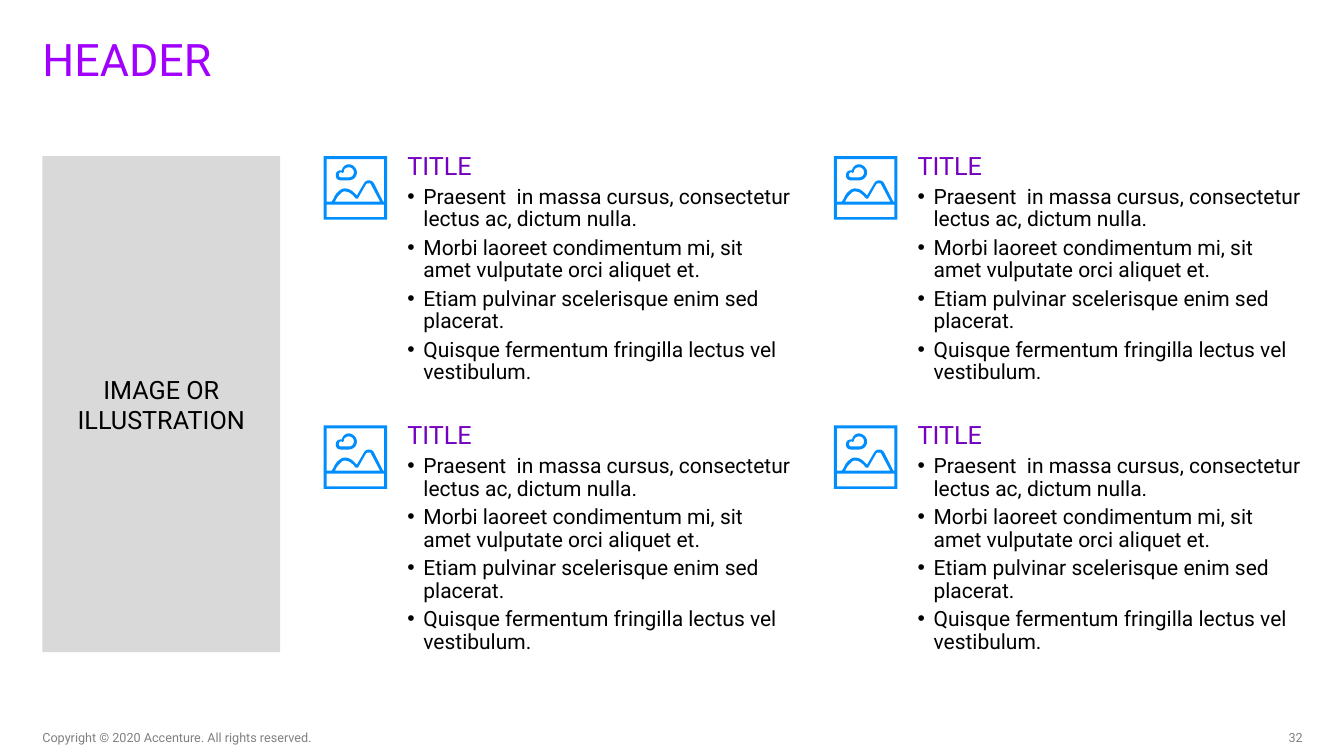
from dataclasses import dataclass
from itertools import product

from lxml import etree
from pptx import Presentation
from pptx import util as u
from pptx.dml import color
from pptx.enum import shapes, text
from pptx.oxml import ns

FONT = "Roboto"
BLACK, GREY, PURPLE, VIOLET = "000000", "808080", "A100FF", "7500C0"
BLUE, PALE_GREY = "008EFF", "D9D9D9"
COMPARISON_LAYOUT = 3 + 1
CURVE_STEPS = 6
HANGING_INDENT = u.Inches(0.16)

POINTS = (
    "Praesent  in massa cursus, consectetur lectus ac, dictum nulla.",
    "Morbi laoreet condimentum mi, sit amet vulputate orci aliquet et.",
    "Etiam pulvinar scelerisque enim sed placerat.",
    "Quisque fermentum fringilla lectus vel vestibulum.",
)

Contour = list[tuple[float, ...]]

FRAME: list[Contour] = [
    [(0, 0), (63, 0), (63, 63), (0, 63)],
    [(60, 3), (60, 45), (59, 45), (50, 27), (49, 25, 47, 24, 45, 24),
     (43, 24, 41, 25, 40, 27), (33, 39), (32, 38, 31, 37, 30, 36),
     (28, 34, 25, 32, 21, 32), (19, 32, 17, 33, 16, 34),
     (13, 36, 11, 39, 10, 42), (9, 43, 9, 44, 8, 45), (3, 45), (3, 3)],
    [(32, 42), (34, 42), (42, 28), (42, 27, 44, 27, 45, 27),
     (46, 27, 47, 27, 47, 28), (56, 45), (11, 45), (12, 44, 13, 41, 15, 39),
     (16, 38, 17, 37, 18, 36), (19, 35, 20, 35, 21, 35),
     (24, 35, 26, 36, 28, 38), (30, 39, 30, 40, 31, 41)],
    [(3, 48), (60, 48), (60, 60.5), (3, 60.5)],
]
CLOUD: list[Contour] = [
    [(17, 24), (25, 24), (29, 24, 33, 21, 33, 16), (33, 12, 29, 8, 25, 8),
     (22, 8, 19, 10, 18, 14), (17, 14), (14, 14, 12, 16, 12, 19),
     (12, 22, 14, 24, 17, 24)],
    [(17, 16), (18, 16), (19, 17, 19, 17, 19, 16), (20, 16, 20, 16, 20, 15),
     (20, 13, 22, 11, 25, 11), (28, 11, 30, 13, 30, 16),
     (30, 19, 28, 21, 25, 21), (17, 21), (16, 21, 15, 20, 15, 19),
     (15, 17, 16, 16, 17, 16)],
]


@dataclass(frozen=True)
class Box:
    left: float
    top: float
    width: float
    height: float

    def emu(self) -> tuple[int, ...]:
        return tuple(u.Inches(n) for n in (self.left, self.top, self.width, self.height))


@dataclass(frozen=True)
class Topic:
    placeholder: int
    left: float
    top: float

    def text_box(self) -> Box:
        return Box(self.left + 0.83, self.top, 3.82, 2.3)


@dataclass(frozen=True)
class FooterNote:
    wording: str
    box: Box
    align: text.PP_ALIGN


TOPICS = [
    Topic(number, left, top)
    for number, (top, left) in enumerate(product((1.55, 4.22), (3.21, 8.27)), start=1)
]
FOOTER = [
    FooterNote("Copyright © 2020 Accenture. All rights reserved.",
               Box(0.42, 7.24, 2.98, 0.15), text.PP_ALIGN.LEFT),
    FooterNote("32", Box(12.24, 7.24, 0.68, 0.15), text.PP_ALIGN.RIGHT),
]


def rgb(hex_code: str) -> color.RGBColor:
    return color.RGBColor.from_string(hex_code)


def write(frame, wording: str, *, size: float, ink: str, align=text.PP_ALIGN.LEFT,
          spacing: float = 1.0, before: float = 0, bullet: bool = False) -> None:
    paragraph = frame.paragraphs[0] if not frame.text else frame.add_paragraph()
    properties = paragraph._p.get_or_add_pPr()
    indent = HANGING_INDENT if bullet else 0
    properties.set("marL", str(indent))
    properties.set("indent", str(-indent))
    mark = etree.SubElement(properties, ns.qn("a:buChar" if bullet else "a:buNone"))
    if bullet:
        mark.set("char", "•")
    paragraph.alignment = align
    paragraph.line_spacing = spacing
    paragraph.space_before = u.Pt(before)
    paragraph.space_after = u.Pt(0)
    run = paragraph.add_run()
    run.text = wording
    run.font.name = FONT
    run.font.size = u.Pt(size)
    run.font.bold = False
    run.font.color.rgb = rgb(ink)


def prepare(shape, box: Box, anchor=text.MSO_ANCHOR.TOP, fit=text.MSO_AUTO_SIZE.NONE):
    shape.left, shape.top, shape.width, shape.height = box.emu()
    frame = shape.text_frame
    frame.margin_left = frame.margin_top = frame.margin_right = frame.margin_bottom = 0
    frame.word_wrap = True
    frame.vertical_anchor = anchor
    frame.auto_size = fit
    return frame


def paint(shape, fill: str) -> None:
    shape.shadow.inherit = False
    shape.fill.solid()
    shape.fill.fore_color.rgb = rgb(fill)
    shape.line.fill.background()


def flatten(contour: Contour) -> list[tuple[float, float]]:
    dots = []
    for segment in contour:
        if len(segment) == 2:
            dots.append(segment)
            continue
        x0, y0 = dots[-1]
        x1, y1, x2, y2, x3, y3 = segment
        for step in range(1, CURVE_STEPS + 1):
            t = step / CURVE_STEPS
            a, b, c, d = (1 - t) ** 3, 3 * t * (1 - t) ** 2, 3 * t * t * (1 - t), t ** 3
            dots.append((a * x0 + b * x1 + c * x2 + d * x3,
                         a * y0 + b * y1 + c * y2 + d * y3))
    return [(u.Inches(x / 100), u.Inches(y / 100)) for x, y in dots]


def draw_outline(group, contours: list[Contour], topic: Topic) -> None:
    first, *holes = [flatten(contour) for contour in contours]
    builder = group.shapes.build_freeform(*first[0])
    builder.add_line_segments(first[1:], close=True)
    for hole in holes:
        builder.move_to(*hole[0])
        builder.add_line_segments(hole[1:], close=True)
    paint(builder.convert_to_shape(u.Inches(topic.left), u.Inches(topic.top)), BLUE)


def draw_topic(slide, topic: Topic) -> None:
    icon = slide.shapes.add_group_shape()
    for contours in (FRAME, CLOUD):
        draw_outline(icon, contours, topic)
    frame = prepare(slide.placeholders[topic.placeholder], topic.text_box(),
                    fit=text.MSO_AUTO_SIZE.SHAPE_TO_FIT_TEXT)
    write(frame, "TITLE", size=18, ink=VIOLET, spacing=0.8)
    for point in POINTS:
        write(frame, point, size=15, ink=BLACK, spacing=0.9, before=4, bullet=True)


def draw_footer_note(slide, note: FooterNote) -> None:
    frame = prepare(slide.shapes.add_textbox(*note.box.emu()), note.box,
                    text.MSO_ANCHOR.BOTTOM, text.MSO_AUTO_SIZE.SHAPE_TO_FIT_TEXT)
    write(frame, note.wording, size=9, ink=GREY, align=note.align)


def main() -> None:
    deck = Presentation()
    deck.slide_width, deck.slide_height = u.Inches(13.33), u.Inches(7.5)
    slide = deck.slides.add_slide(deck.slide_layouts[COMPARISON_LAYOUT])
    for note in FOOTER:
        draw_footer_note(slide, note)
    header = prepare(slide.shapes.title, Box(0.42, 0.42, 12.5, 0.98))
    write(header, "HEADER", size=32, ink=PURPLE, spacing=0.8)
    for topic in TOPICS:
        draw_topic(slide, topic)
    panel_box = Box(0.42, 1.55, 2.36, 4.92)
    panel = slide.shapes.add_shape(shapes.MSO_SHAPE.RECTANGLE, *panel_box.emu())
    paint(panel, PALE_GREY)
    write(prepare(panel, panel_box, text.MSO_ANCHOR.MIDDLE), "IMAGE OR ILLUSTRATION",
          size=18, ink=BLACK, align=text.PP_ALIGN.CENTER)
    deck.save("out.pptx")


if __name__ == "__main__":
    main()
